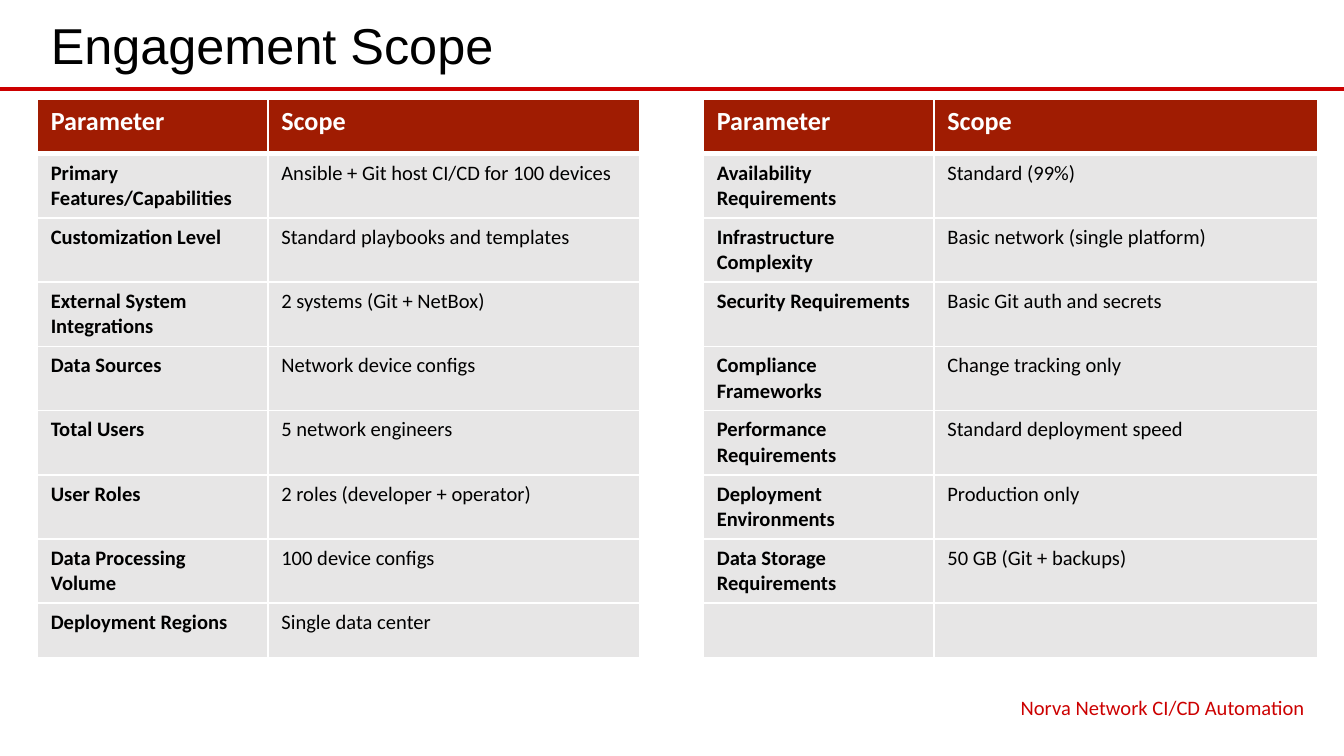
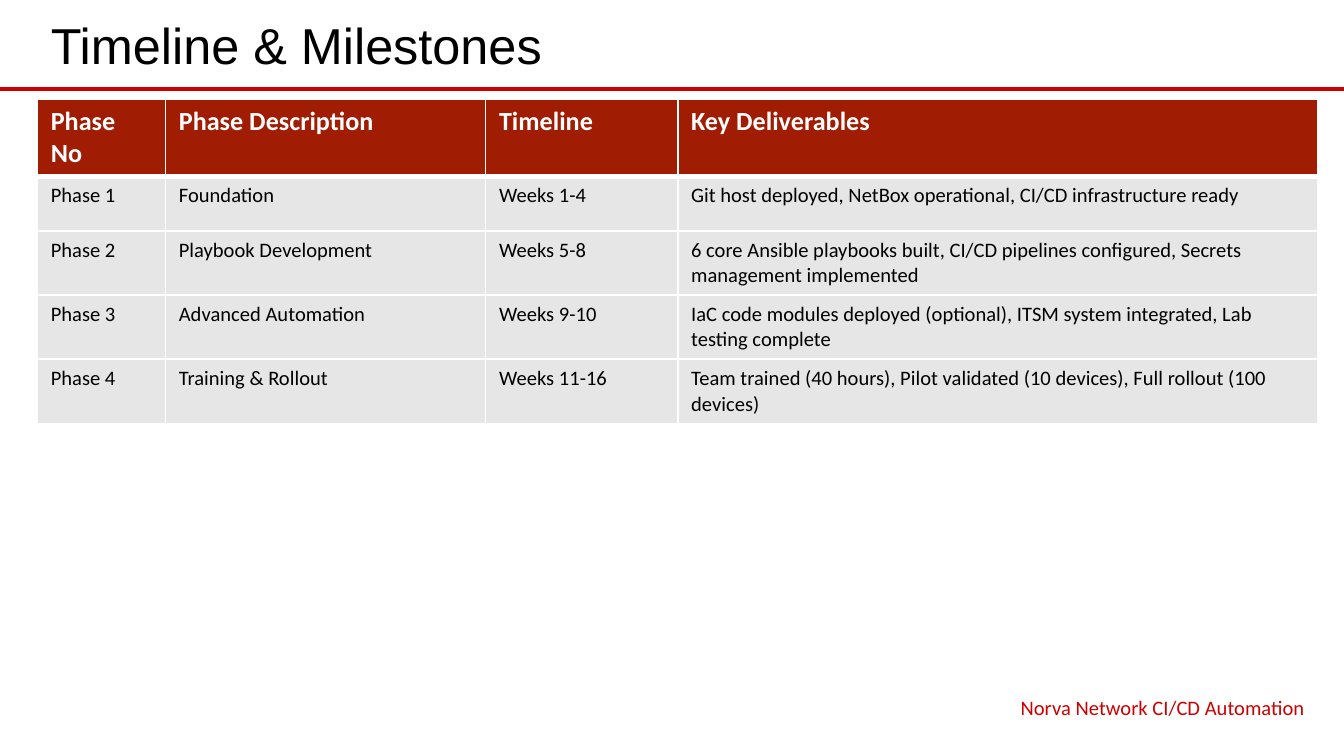
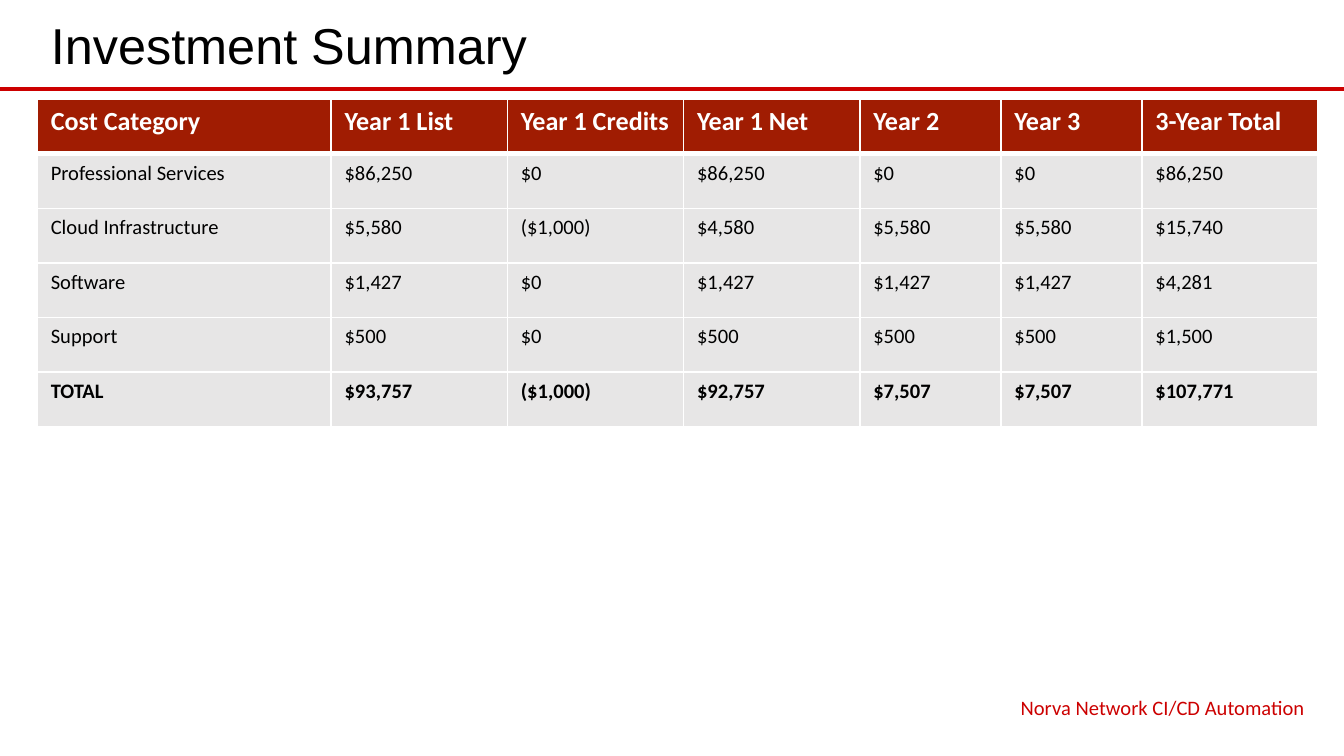
from pptx import Presentation
from pptx.dml.color import RGBColor
from pptx.enum import shapes, text
from pptx.oxml.ns import qn
from pptx.util import Pt
from lxml import etree

THEME = {
    "colors": {"rule": "CC0000", "header": "A01C02", "row": "E7E6E6",
               "paper": "FFFFFF", "ink": "000000"},
    "sizes": {"title": 27, "header": 14, "body": 11},
    "fonts": {"title": "Arial", "body": "Calibri"},
    "lines": {"rule": 2.25, "cell": 1, "header": 3},
}
FOOTER = "Norva Network CI/CD Automation"

PAGE_W, PAGE_H = 720, 405
LEFT, WIDTH = 20, 686.2
RULE_Y = 47.5
TITLE_BOX = (LEFT, 3, WIDTH, 41.5)
FOOTER_BOX = (LEFT + WIDTH - 253.4, 368.6, 253.4, 18.7)
TABLE_TOP, ROW_H = 53.2, 29.2
FOOTER_INDENT = 27

SLIDES = [
    {
        "title": "Engagement Scope",
        "weights": (18, 29, 5, 18, 30),
        "bold_cols": (0, 3),
        "spacer_cols": (2,),
        "rows": [
            ("Parameter", "Scope", "", "Parameter", "Scope"),
            ("Primary Features/Capabilities", "Ansible + Git host CI/CD for 100 devices", "",
             "Availability Requirements", "Standard (99%)"),
            ("Customization Level", "Standard playbooks and templates", "",
             "Infrastructure Complexity", "Basic network (single platform)"),
            ("External System Integrations", "2 systems (Git + NetBox)", "",
             "Security Requirements", "Basic Git auth and secrets"),
            ("Data Sources", "Network device configs", "",
             "Compliance Frameworks", "Change tracking only"),
            ("Total Users", "5 network engineers", "",
             "Performance Requirements", "Standard deployment speed"),
            ("User Roles", "2 roles (developer + operator)", "",
             "Deployment Environments", "Production only"),
            ("Data Processing Volume", "100 device configs", "",
             "Data Storage Requirements", "50 GB (Git + backups)"),
            ("Deployment Regions", "Single data center", "", "", ""),
        ],
    },
    {
        "title": "Timeline & Milestones",
        "weights": (10, 25, 15, 50),
        "rows": [
            ("Phase No", "Phase Description", "Timeline", "Key Deliverables"),
            ("Phase 1", "Foundation", "Weeks 1-4",
             "Git host deployed, NetBox operational, CI/CD infrastructure ready"),
            ("Phase 2", "Playbook Development", "Weeks 5-8",
             "6 core Ansible playbooks built, CI/CD pipelines configured, "
             "Secrets management implemented"),
            ("Phase 3", "Advanced Automation", "Weeks 9-10",
             "IaC code modules deployed (optional), ITSM system integrated, "
             "Lab testing complete"),
            ("Phase 4", "Training & Rollout", "Weeks 11-16",
             "Team trained (40 hours), Pilot validated (10 devices), "
             "Full rollout (100 devices)"),
        ],
    },
    {
        "title": "Investment Summary",
        "weights": (25, 15, 15, 15, 12, 12, 15),
        "bold_rows": (5,),
        "rows": [
            ("Cost Category", "Year 1 List", "Year 1 Credits", "Year 1 Net",
             "Year 2", "Year 3", "3-Year Total"),
            ("Professional Services", "$86,250", "$0", "$86,250", "$0", "$0", "$86,250"),
            ("Cloud Infrastructure", "$5,580", "($1,000)", "$4,580", "$5,580", "$5,580",
             "$15,740"),
            ("Software", "$1,427", "$0", "$1,427", "$1,427", "$1,427", "$4,281"),
            ("Support", "$500", "$0", "$500", "$500", "$500", "$1,500"),
            ("TOTAL", "$93,757", "($1,000)", "$92,757", "$7,507", "$7,507", "$107,771"),
        ],
    },
]


def color(name):
    return RGBColor.from_string(THEME["colors"][name])


def apply(obj, values):
    for name, value in values.items():
        setattr(obj, name, value)


def style_font(font, face, size, ink, bold=False):
    apply(font, {"name": THEME["fonts"][face], "size": Pt(THEME["sizes"][size]),
                 "bold": bold})
    font.color.rgb = color(ink)


def fill_placeholder(sp, box, content, anchor, align, face, size, ink):
    apply(sp, dict(zip(("left", "top", "width", "height"), map(Pt, box))))
    tf = sp.text_frame
    apply(tf, {"text": content, "word_wrap": True, "vertical_anchor": anchor,
               "auto_size": text.MSO_AUTO_SIZE.NONE})
    p = tf.paragraphs[0]
    apply(p, {"alignment": align, "space_before": Pt(0)})
    style_font(p.runs[0].font, face, size, ink)
    return p


def add_rule(s):
    cx = s.shapes.add_connector(shapes.MSO_CONNECTOR.STRAIGHT,
                                Pt(0), Pt(RULE_Y), Pt(PAGE_W), Pt(RULE_Y))
    cx.line.color.rgb = color("rule")
    cx.line.width = Pt(THEME["lines"]["rule"])
    etree.SubElement(cx.element.spPr, qn("a:effectLst"))


def add_footer(s):
    p = fill_placeholder(s.placeholders[1], FOOTER_BOX, FOOTER, text.MSO_ANCHOR.TOP,
                         text.PP_ALIGN.RIGHT, "body", "body", "rule")
    pPr = p._p.get_or_add_pPr()
    pPr.set("marL", str(Pt(FOOTER_INDENT)))
    pPr.set("indent", str(-Pt(FOOTER_INDENT)))
    etree.SubElement(pPr, qn("a:buNone"))


def border_cell(cell, bottom):
    tcPr = cell._tc.get_or_add_tcPr()
    for side in "LRTB":
        weight = THEME["lines"][bottom if side == "B" else "cell"]
        ln = etree.SubElement(tcPr, qn(f"a:ln{side}"), w=str(Pt(weight)))
        fill = etree.SubElement(ln, qn("a:solidFill"))
        etree.SubElement(fill, qn("a:srgbClr"), val=THEME["colors"]["paper"])


def add_table(s, spec):
    rows, weights = spec["rows"], spec["weights"]
    tbl = s.shapes.add_table(len(rows), len(weights), Pt(LEFT), Pt(TABLE_TOP),
                             Pt(WIDTH), Pt(ROW_H * len(rows))).table
    tbl.horz_banding = False
    for col, weight in zip(tbl.columns, weights):
        col.width = Pt(WIDTH * weight / sum(weights))
    for i, row in enumerate(rows):
        tbl.rows[i].height = Pt(ROW_H)
        head = i == 0
        for j, content in enumerate(row):
            cell = tbl.cell(i, j)
            border_cell(cell, "header" if head else "cell")
            spacer = j in spec.get("spacer_cols", ())
            cell.fill.solid()
            cell.fill.fore_color.rgb = color(
                "paper" if spacer else "header" if head else "row")
            if content:
                cell.text = content
                bold = (head or i in spec.get("bold_rows", ())
                        or j in spec.get("bold_cols", ()))
                style_font(cell.text_frame.paragraphs[0].runs[0].font, "body",
                           "header" if head else "body",
                           "paper" if head else "ink", bold)


def main():
    prs = Presentation()
    apply(prs, {"slide_width": Pt(PAGE_W), "slide_height": Pt(PAGE_H)})
    for spec in SLIDES:
        s = prs.slides.add_slide(prs.slide_layouts[1])
        add_rule(s)
        fill_placeholder(s.shapes.title, TITLE_BOX, spec["title"], text.MSO_ANCHOR.MIDDLE,
                         text.PP_ALIGN.LEFT, "title", "title", "ink")
        add_table(s, spec)
        add_footer(s)
    prs.save("out.pptx")


if __name__ == "__main__":
    main()
